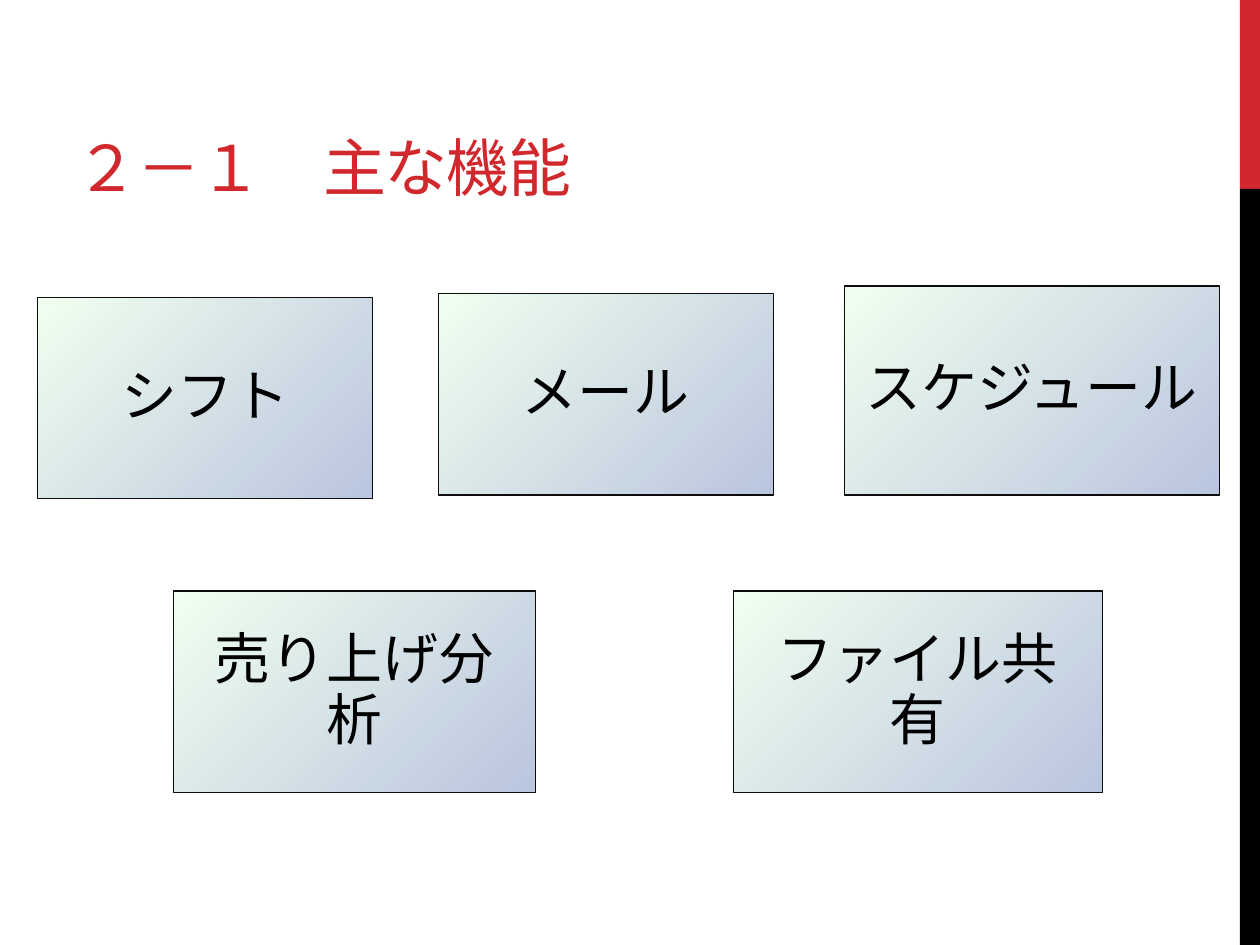
import pptx
import pptx.util
import pptx.dml.color
import pptx.enum.shapes
import pptx.enum.text

Inches, Pt = pptx.util.Inches, pptx.util.Pt
RGB = pptx.dml.color.RGBColor
ANCHOR = pptx.enum.text.MSO_ANCHOR
RECT = pptx.enum.shapes.MSO_SHAPE.RECTANGLE

RED = RGB(0xD1, 0x28, 0x2E)
BLACK = RGB(0, 0, 0)
EDGE = RGB(0x0D, 0x0D, 0x0D)
BLUE = RGB(0xBA, 0xC5, 0xDF)
MINT = RGB(0xF0, 0xFF, 0xEF)

WIDE, HIGH = 10, 7.5
BAR = 0.16
INSET = 0.15
TITLE = "２－１　主な機能"
# label, left, top, width, height
CARDS = [
    ("メール", 3.48, 2.33, 2.66, 1.6),
    ("スケジュール", 6.7, 2.27, 2.98, 1.66),
    ("売り上げ分析", 1.38, 4.69, 2.87, 1.6),
    ("ファイル共有", 5.82, 4.69, 2.93, 1.6),
    ("シフト", 0.3, 2.36, 2.66, 1.6),
]


def add_rect(slide, *box):
    shape = slide.shapes.add_shape(RECT, *map(Inches, box))
    shape.shadow.inherit = False
    return shape


def add_bar(slide, top, high, color):
    bar = add_rect(slide, WIDE - BAR, top, BAR, high)
    bar.fill.solid()
    bar.fill.fore_color.rgb = color
    bar.line.fill.background()


def style(run, face, size, color):
    run.font.name = face
    run.font.size = Pt(size)
    run.font.color.rgb = color


def add_title(slide):
    box = slide.shapes.add_textbox(*map(Inches, (0.5, 0.17, 6.33, 1.5)))
    frame = box.text_frame
    frame.word_wrap = True
    frame.vertical_anchor = ANCHOR.BOTTOM
    frame.text = TITLE
    run = frame.paragraphs[0].runs[0]
    style(run, "Montserrat", 36, RED)
    run._r.get_or_add_rPr().set("spc", "-60")


def add_card(slide, label, *box):
    card = add_rect(slide, *box)
    card.fill.gradient()
    card.fill.gradient_angle = 135
    for stop, color in zip(card.fill.gradient_stops, (BLUE, MINT)):
        stop.color.rgb = color
    card.line.color.rgb = EDGE
    card.line.width = Pt(0.75)

    frame = card.text_frame
    frame.word_wrap = True
    frame.vertical_anchor = ANCHOR.MIDDLE
    frame.margin_left = frame.margin_right = Inches(INSET)
    frame.margin_top = frame.margin_bottom = Inches(INSET)
    frame.text = label
    para = frame.paragraphs[0]
    para.alignment = pptx.enum.text.PP_ALIGN.CENTER
    para.line_spacing = 0.9
    para.space_after = Pt(11)
    style(para.runs[0], "Arial", 32, BLACK)


def main():
    deck = pptx.Presentation()
    deck.slide_width, deck.slide_height = Inches(WIDE), Inches(HIGH)
    slide = deck.slides.add_slide(deck.slide_layouts[6])
    split = HIGH / 5
    add_bar(slide, 0, split, RED)
    add_bar(slide, split, HIGH - split, BLACK)
    add_title(slide)
    for card in CARDS:
        add_card(slide, *card)
    deck.save("out.pptx")


if __name__ == "__main__":
    main()
